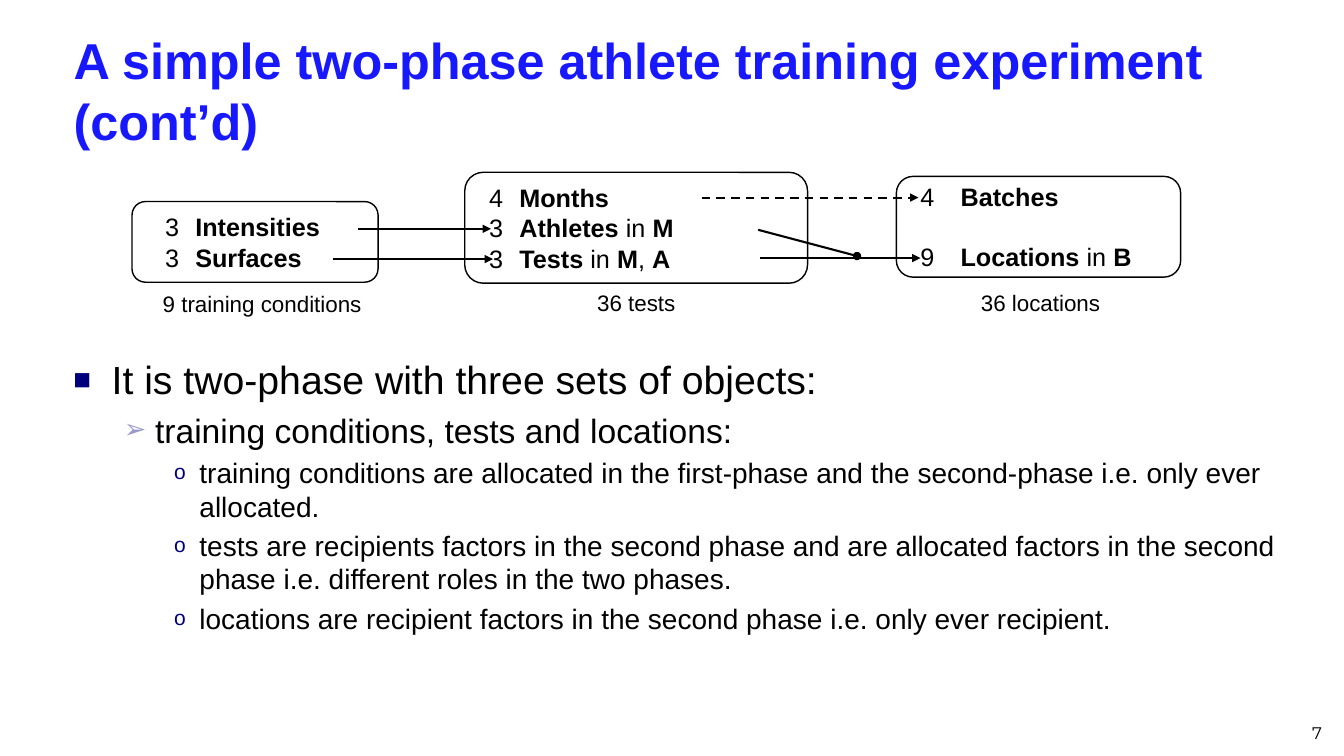
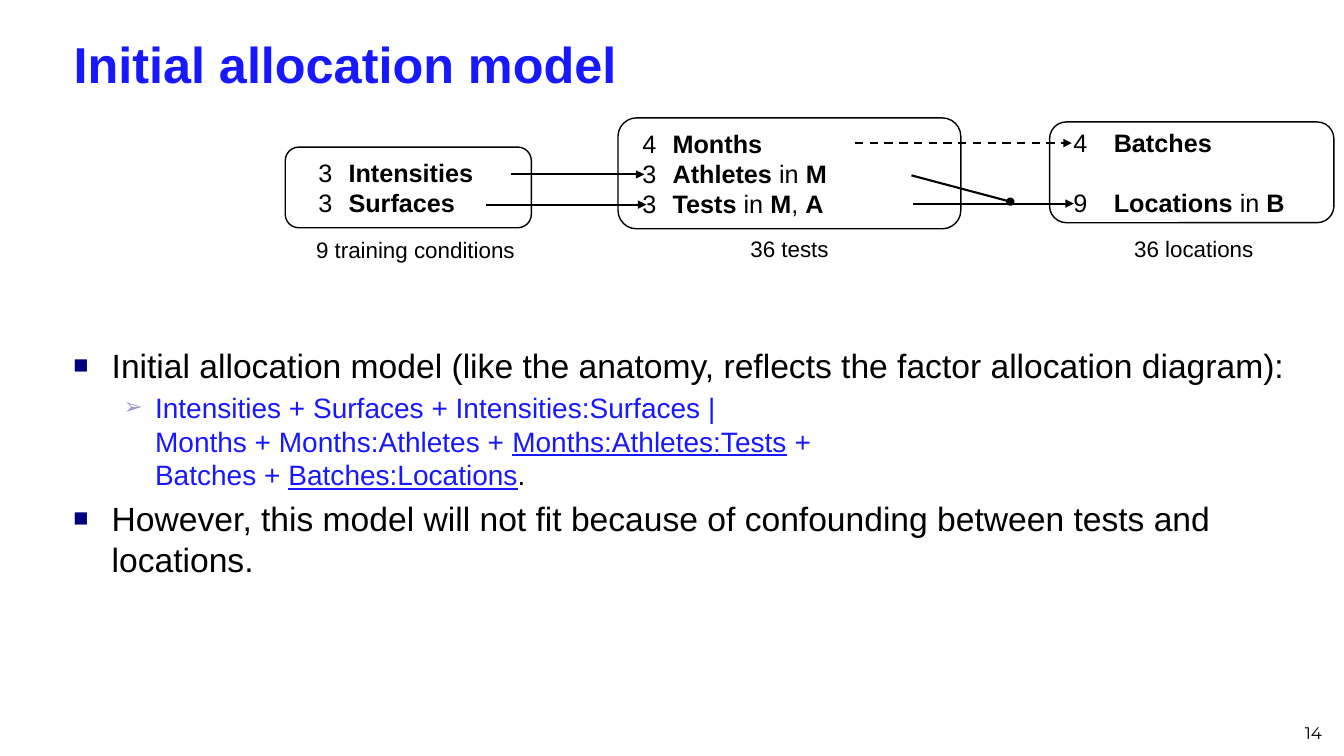
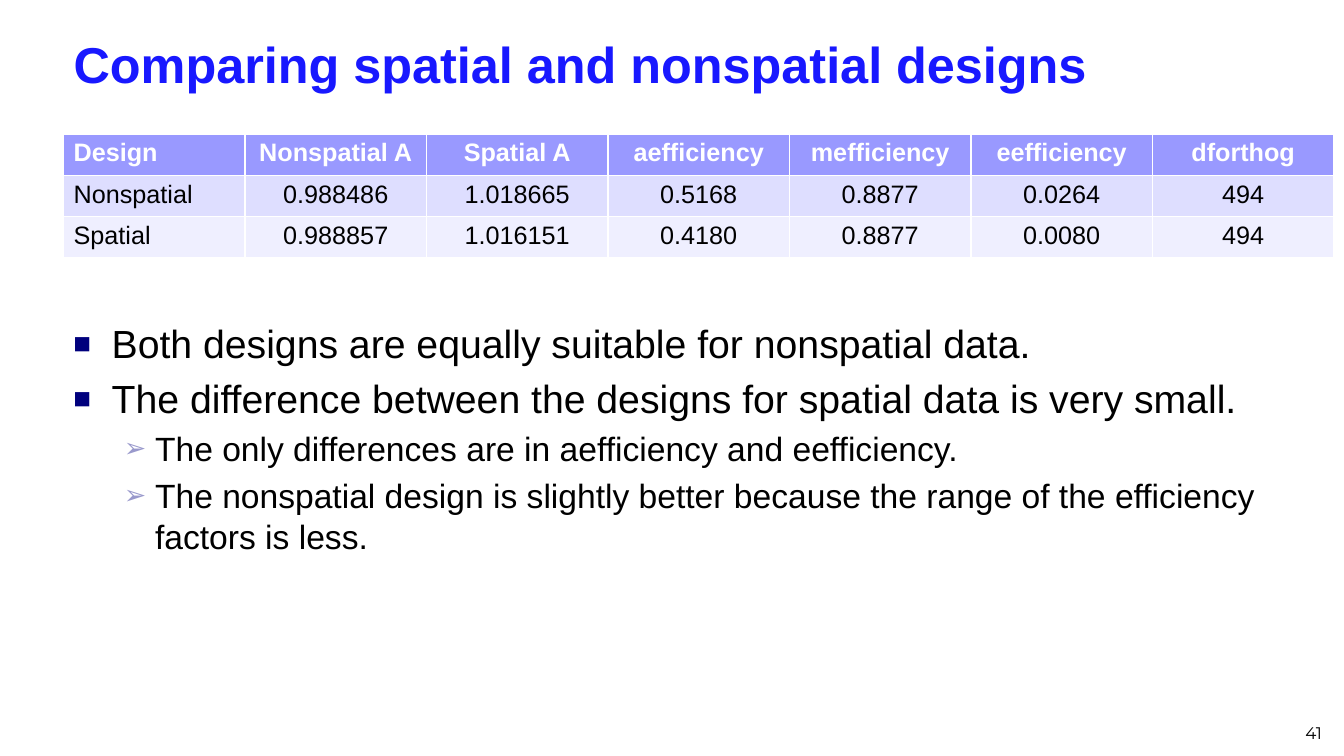
"""Build three slides on two-phase athlete training designs."""
from dataclasses import dataclass

from lxml.etree import SubElement
from pptx import Presentation
from pptx.dml.color import RGBColor
from pptx.enum.dml import MSO_LINE
from pptx.enum.shapes import MSO_CONNECTOR, MSO_SHAPE
from pptx.enum.text import MSO_ANCHOR, MSO_AUTO_SIZE, PP_ALIGN
from pptx.oxml.ns import qn
from pptx.util import Inches, Pt

COLORS = {
    "title": "1818FF", "text": "000000", "white": "FFFFFF",
    "navy": "00007D", "lilac": "9999CC",
    "header": "9999FF", "band1": "DEDEFF", "band2": "EFEFFF",
}
FONT = "Arial"
NUMBER_FONT = "Montserrat"
LEFT, WIDTH = 0.63, 12.6


@dataclass(frozen=True)
class Run:
    text: str
    bold: bool = False
    underline: bool = False
    color: str = "text"


@dataclass(frozen=True)
class Bullet:
    char: str
    color: str
    percent: int
    margin: float
    hanging: float


@dataclass(frozen=True)
class Item:
    level: int
    size: int
    runs: tuple[Run, ...]


@dataclass(frozen=True)
class Line:
    runs: tuple[Run, ...]
    space_before: int = 0


@dataclass(frozen=True)
class Panel:
    box: tuple[float, float, float, float]
    margin: float
    hanging: float
    lines: tuple[Line, ...]
    caption: str
    caption_at: tuple[float, float]


@dataclass(frozen=True)
class Arrow:
    start: tuple[float, float]
    end: tuple[float, float]
    head: str = "triangle"
    dashed: bool = False


BULLETS = (
    Bullet("■", "navy", 75, 0.38, 0.38),
    Bullet("➢", "lilac", 80, 0.81, 0.31),
    Bullet("o", "navy", 75, 1.25, 0.25),
)

IN = Run("in ")
MONTHS = Run("M", bold=True)

PANELS = (
    Panel((1.31, 2, 2.44, 0.8), 0.49, 0.3, (
        Line((Run("3\t"), Run("Intensities", bold=True))),
        Line((Run("3\t"), Run("Surfaces", bold=True))),
    ), "9 training conditions", (1.31, 2.83)),
    Panel((4.61, 1.71, 3.4, 1.1), 0.39, 0.3, (
        Line((Run("4\t"), Run("Months", bold=True))),
        Line((Run("3\t"), Run("Athletes ", bold=True), IN, MONTHS)),
        Line((Run("3\t"), Run("Tests ", bold=True), IN, MONTHS,
              Run(", "), Run("A", bold=True))),
    ), "36 tests", (5.02, 2.82)),
    Panel((8.89, 1.75, 2.82, 1), 0.49, 0.4, (
        Line((Run("4\t"), Run("Batches", bold=True))),
        Line((Run("9\t"), Run("Locations ", bold=True), IN,
              Run("B", bold=True)), space_before=21),
    ), "36 locations", (9.03, 2.82)),
)

ARROWS = (
    Arrow((3.55, 2.27), (4.87, 2.27)),
    Arrow((3.3, 2.57), (4.89, 2.57)),
    Arrow((6.96, 1.96), (9.11, 1.96), dashed=True),
    Arrow((7.54, 2.56), (9.13, 2.56)),
    Arrow((7.52, 2.28), (8.5, 2.54), head="oval"),
)

DESIGNS = (
    ("Design", "Nonspatial A", "Spatial A", "aefficiency", "mefficiency",
     "eefficiency", "dforthog"),
    ("Nonspatial", "0.988486", "1.018665", "0.5168", "0.8877", "0.0264", "494"),
    ("Spatial", "0.988857", "1.016151", "0.4180", "0.8877", "0.0080", "494"),
)


def rgb(name: str) -> RGBColor:
    """Look up a named colour."""
    return RGBColor.from_string(COLORS[name])


def add_runs(p, runs: tuple[Run, ...], size: int, font: str = FONT) -> None:
    """Append formatted runs, turning newlines into line breaks."""
    for run in runs:
        for i, part in enumerate(run.text.split("\n")):
            if i:
                p.add_line_break()
            r = p.add_run()
            r.text = part
            r.font.name = font
            r.font.size = Pt(size)
            r.font.bold = run.bold
            r.font.underline = run.underline
            r.font.color.rgb = rgb(run.color)


def next_paragraph(tf, index: int):
    """Return the first paragraph or append another."""
    return tf.add_paragraph() if index else tf.paragraphs[0]


def set_indent(p, margin: float, hanging: float):
    """Set a hanging indent and return the paragraph properties."""
    pPr = p._p.get_or_add_pPr()
    pPr.set("marL", str(Inches(margin)))
    pPr.set("indent", str(-Inches(hanging)))
    return pPr


def add_text_box(shapes, left: float, top: float, width: float, height: float):
    """Add a wrapping text box and return its text frame."""
    sp = shapes.add_textbox(Inches(left), Inches(top), Inches(width), Inches(height))
    sp.text_frame.word_wrap = True
    return sp.text_frame


def add_slide(prs, title: str, title_height: float, number: int):
    """Add a slide with its title and page number."""
    s = prs.slides.add_slide(prs.slide_layouts[5])
    sp = s.shapes.title
    sp.left, sp.top = Inches(LEFT), Inches(0.23)
    sp.width, sp.height = Inches(WIDTH), Inches(title_height)
    tf = sp.text_frame
    tf.auto_size = MSO_AUTO_SIZE.NONE
    tf.vertical_anchor = MSO_ANCHOR.MIDDLE
    tf.paragraphs[0].alignment = PP_ALIGN.LEFT
    add_runs(tf.paragraphs[0], (Run(title, bold=True, color="title"),), 36)

    tf = add_text_box(s.shapes, 10.1, 6.92, 3.11, 0.5)
    tf.vertical_anchor = MSO_ANCHOR.BOTTOM
    tf.paragraphs[0].alignment = PP_ALIGN.RIGHT
    add_runs(tf.paragraphs[0], (Run(str(number)),), 12, NUMBER_FONT)
    return s


def add_bullets(s, top: float, height: float, items: tuple[Item, ...]) -> None:
    """Add the bulleted body text."""
    tf = add_text_box(s.shapes, LEFT, top, WIDTH, height)
    for i, item in enumerate(items):
        bullet = BULLETS[item.level]
        p = next_paragraph(tf, i)
        p.level = item.level
        pPr = set_indent(p, bullet.margin, bullet.hanging)
        if i:
            space = SubElement(pPr, qn("a:spcBef"))
            SubElement(space, qn("a:spcPct"), val="20000")
        color = SubElement(pPr, qn("a:buClr"))
        SubElement(color, qn("a:srgbClr"), val=COLORS[bullet.color])
        SubElement(pPr, qn("a:buSzPct"), val=str(bullet.percent * 1000))
        SubElement(pPr, qn("a:buFont"), typeface=FONT)
        SubElement(pPr, qn("a:buChar"), char=bullet.char)
        add_runs(p, item.runs, item.size)


def add_panel(shapes, panel: Panel, dx: float, dy: float) -> None:
    """Draw one rounded panel of factors with its caption."""
    left, top, width, height = panel.box
    sp = shapes.add_shape(MSO_SHAPE.ROUNDED_RECTANGLE, Inches(left + dx),
                          Inches(top + dy), Inches(width), Inches(height))
    sp.shadow.inherit = False
    sp.fill.background()
    sp.line.color.rgb = rgb("text")
    sp.line.width = Pt(1)
    tf = sp.text_frame
    tf.word_wrap = True
    tf.vertical_anchor = MSO_ANCHOR.MIDDLE
    for i, line in enumerate(panel.lines):
        p = next_paragraph(tf, i)
        p.alignment = PP_ALIGN.LEFT
        set_indent(p, panel.margin, panel.hanging)
        if line.space_before:
            p.space_before = Pt(line.space_before)
        add_runs(p, line.runs, 18)

    left, top = panel.caption_at
    tf = add_text_box(shapes, left + dx, top + dy, 2.58, 0.37)
    tf.paragraphs[0].alignment = PP_ALIGN.CENTER
    add_runs(tf.paragraphs[0], (Run(panel.caption),), 16)


def add_arrow(shapes, arrow: Arrow, dx: float, dy: float) -> None:
    """Draw one allocation line with its end marker."""
    (x1, y1), (x2, y2) = arrow.start, arrow.end
    cxn = shapes.add_connector(MSO_CONNECTOR.STRAIGHT, Inches(x1 + dx),
                               Inches(y1 + dy), Inches(x2 + dx), Inches(y2 + dy))
    cxn.line.color.rgb = rgb("text")
    cxn.line.width = Pt(1.5)
    if arrow.dashed:
        cxn.line.dash_style = MSO_LINE.DASH
    SubElement(cxn.line._get_or_add_ln(), qn("a:tailEnd"), type=arrow.head)
    SubElement(cxn._element.spPr, qn("a:effectLst"))


def add_diagram(s, dx: float = 0, dy: float = 0) -> None:
    """Draw the factor allocation diagram, shifted by an offset."""
    shapes = s.shapes.add_group_shape().shapes
    for panel in PANELS:
        add_panel(shapes, panel, dx, dy)
    for arrow in ARROWS:
        add_arrow(shapes, arrow, dx, dy)


def add_design_table(s) -> None:
    """Add the table that compares the designs."""
    rows, cols = len(DESIGNS), len(DESIGNS[0])
    table = s.shapes.add_table(rows, cols, Inches(LEFT), Inches(1.33),
                               Inches(WIDTH), Inches(0.41 * rows)).table
    fills = ("header", "band1", "band2")
    for i, values in enumerate(DESIGNS):
        for j, value in enumerate(values):
            cell = table.cell(i, j)
            cell.fill.solid()
            cell.fill.fore_color.rgb = rgb(fills[i])
            p = cell.text_frame.paragraphs[0]
            p.alignment = PP_ALIGN.CENTER if j else PP_ALIGN.LEFT
            color = "text" if i else "white"
            add_runs(p, (Run(value, bold=i == 0, color=color),), 18)


def main() -> None:
    """Build and save the presentation."""
    prs = Presentation()
    prs.slide_width, prs.slide_height = Inches(13.33), Inches(7.5)

    s = add_slide(prs, "A simple two-phase athlete training experiment (cont’d)", 1.32, 7)
    add_diagram(s)
    add_bullets(s, 3.48, 4.02, (
        Item(0, 28, (Run("It is two-phase with three sets of objects:"),)),
        Item(1, 24, (Run("training conditions, tests and locations:"),)),
        Item(2, 20, (Run("training conditions are allocated in the first-phase and "
                         "the second-phase i.e. only ever allocated."),)),
        Item(2, 20, (Run("tests are recipients factors in the second phase and are "
                         "allocated factors in the second phase i.e. different "
                         "roles in the two phases."),)),
        Item(2, 20, (Run("locations are recipient factors in the second phase i.e. "
                         "only ever recipient."),)),
    ))

    s = add_slide(prs, "Initial allocation model", 0.79, 14)
    add_diagram(s, 1.52, -0.54)
    add_bullets(s, 3.37, 3.87, (
        Item(0, 24, (Run("Initial allocation model (like the anatomy, reflects the "
                         "factor allocation diagram):"),)),
        Item(1, 20, (
            Run("Intensities + Surfaces + Intensities:Surfaces |\n"
                "Months + Months:Athletes + ", color="title"),
            Run("Months:Athletes:Tests", underline=True, color="title"),
            Run(" +\nBatches + ", color="title"),
            Run("Batches:Locations", underline=True, color="title"),
            Run("."),
        )),
        Item(0, 24, (Run("However, this model will not fit because of confounding "
                         "between tests and locations."),)),
    ))

    s = add_slide(prs, "Comparing spatial and nonspatial designs", 0.79, 41)
    add_design_table(s)
    add_bullets(s, 3.12, 2.83, (
        Item(0, 28, (Run("Both designs are equally suitable for nonspatial data."),)),
        Item(0, 28, (Run("The difference between the designs for spatial data is "
                         "very small."),)),
        Item(1, 24, (Run("The only differences are in aefficiency and eefficiency."),)),
        Item(1, 24, (Run("The nonspatial design is slightly better because the range "
                         "of the efficiency factors is less."),)),
    ))
    prs.save("out.pptx")


if __name__ == "__main__":
    main()
